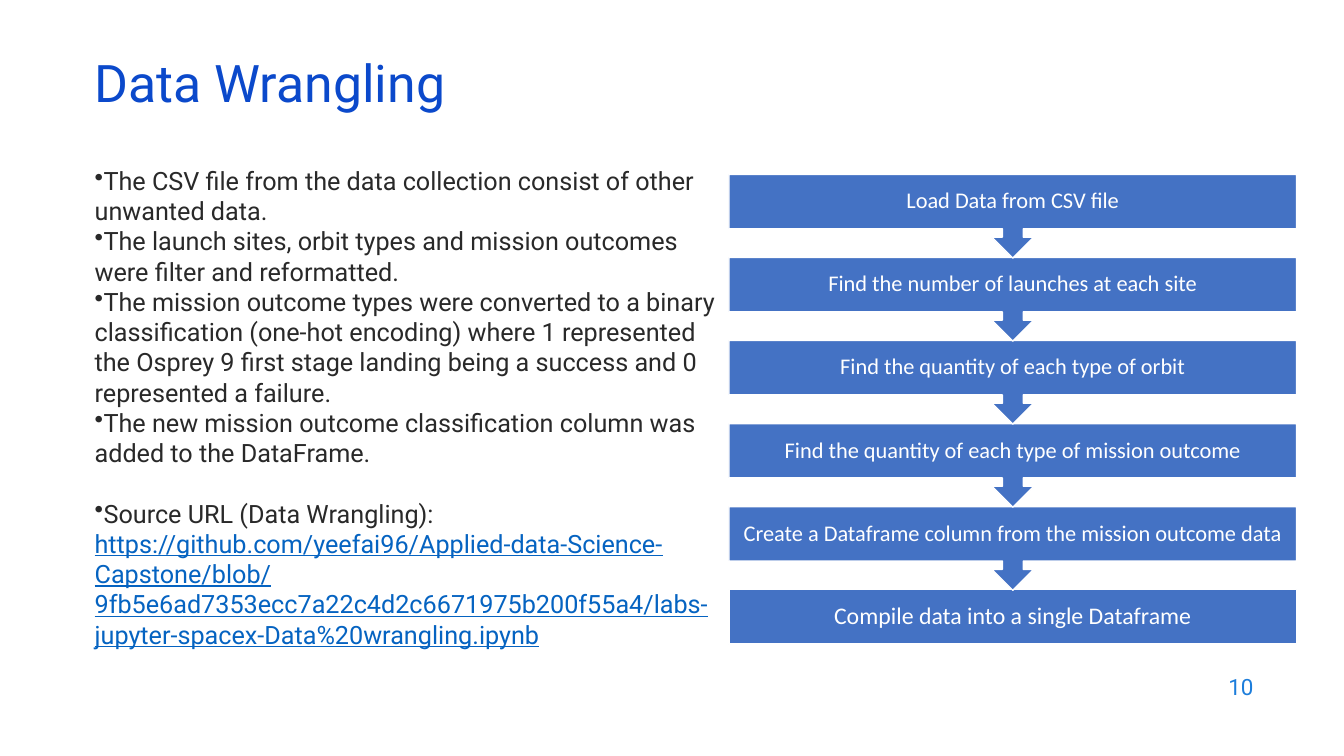
"""Build the Data Wrangling slide with its notes and process steps."""
from pptx import Presentation
from pptx.dml.color import RGBColor
from pptx.enum.shapes import MSO_SHAPE as SHAPE
from pptx.enum.text import MSO_ANCHOR as ANCHOR, PP_ALIGN as ALIGN
from pptx.util import Inches, Pt
from lxml import etree

COLORS = {"title": "0B49CB", "text": "292929", "link": "0563C1",
          "number": "1C7DDB", "step": "4472C4", "white": "FFFFFF"}
NS = "http://schemas.openxmlformats.org/drawingml/2006/main"


def color(name):
    return RGBColor.from_string(COLORS[name])


def add_text(box, lines, size, font, name, align=ALIGN.LEFT,
             anchor=ANCHOR.MIDDLE, spacing=1.0):
    tf = s.shapes.add_textbox(*map(Inches, box)).text_frame
    tf.word_wrap = True
    tf.vertical_anchor = anchor
    for i, line in enumerate(lines):
        p = tf.paragraphs[0] if i == 0 else tf.add_paragraph()
        p.text = line
        p.alignment = align
        p.line_spacing = spacing
        p.font.size = Pt(size)
        p.font.name = font
        p.font.color.rgb = color(name)
    return tf


prs = Presentation()
prs.slide_width, prs.slide_height = Inches(13.33), Inches(7.5)
s = prs.slides.add_slide(prs.slide_layouts[6])

add_text((9.53, 6.59, 3, 0.44), ["10"], 16, "Roboto", "number", ALIGN.RIGHT)
add_text((0.84, 0.59, 11.5, 0.6), ["Data Wrangling"], 37, "Roboto", "title",
         spacing=0.7)

notes = [
    "The CSV file from the data collection consist of other unwanted data.",
    "The launch sites, orbit types and mission outcomes were filter and "
    "reformatted.",
    "The mission outcome types were converted to a binary classification "
    "(one-hot encoding) where 1 represented the Osprey 9 first stage landing "
    "being a success and 0 represented a failure.",
    "The new mission outcome classification column was added to the DataFrame.",
    "Source URL (Data Wrangling):",
    "https://github.com/yeefai96/Applied-data-Science-Capstone/blob/"
    "9fb5e6ad7353ecc7a22c4d2c6671975b200f55a4/"
    "labs-jupyter-spacex-Data%20wrangling.ipynb",
]
tf = add_text((0.84, 1.59, 6.39, 5), notes, 18, "Roboto", "text",
              anchor=ANCHOR.TOP)
*bullets, link = tf.paragraphs
for p in bullets:
    pPr = p._p.get_or_add_pPr()
    pPr.set("marL", "0")
    pPr.set("indent", "0")
    bullet = etree.Element(f"{{{NS}}}buChar", char="•")
    defaults = pPr.find(f"{{{NS}}}defRPr")
    defaults.addprevious(bullet)
bullets[-1].space_before = Pt(21.6)
link.font.color.rgb = color("link")
link.font.underline = True

steps = [
    "Load Data from CSV file",
    "Find the number of launches at each site",
    "Find the quantity of each type of orbit",
    "Find the quantity of each type of mission outcome",
    "Create a Dataframe column from the mission outcome data",
    "Compile data into a single Dataframe",
]
left, first_top, last_top, width, height = 7.23, 1.73, 5.85, 5.63, 0.54
last = len(steps) - 1
pitch = (last_top - first_top) / last
for i, step in reversed(list(enumerate(steps))):
    top = first_top + i * pitch
    kind, shape_height, turn, size = SHAPE.UP_ARROW_CALLOUT, 0.83, 180, 16
    if i == last:
        kind, shape_height, turn, size = SHAPE.RECTANGLE, height, 0, 17
    sp = s.shapes.add_shape(kind, Inches(left), Inches(top),
                            Inches(width), Inches(shape_height))
    sp.rotation = turn
    sp.shadow.inherit = False
    sp.fill.solid()
    sp.fill.fore_color.rgb = color("step")
    sp.line.color.rgb = color("white")
    sp.line.width = Pt(1)
    tf = add_text((left, top, width, height), [step], size, "Calibri", "white",
                  ALIGN.CENTER, spacing=0.9)
    tf.margin_left = tf.margin_right = Inches(0.12)
    tf.margin_top = tf.margin_bottom = Inches(0.12)

prs.save("out.pptx")
